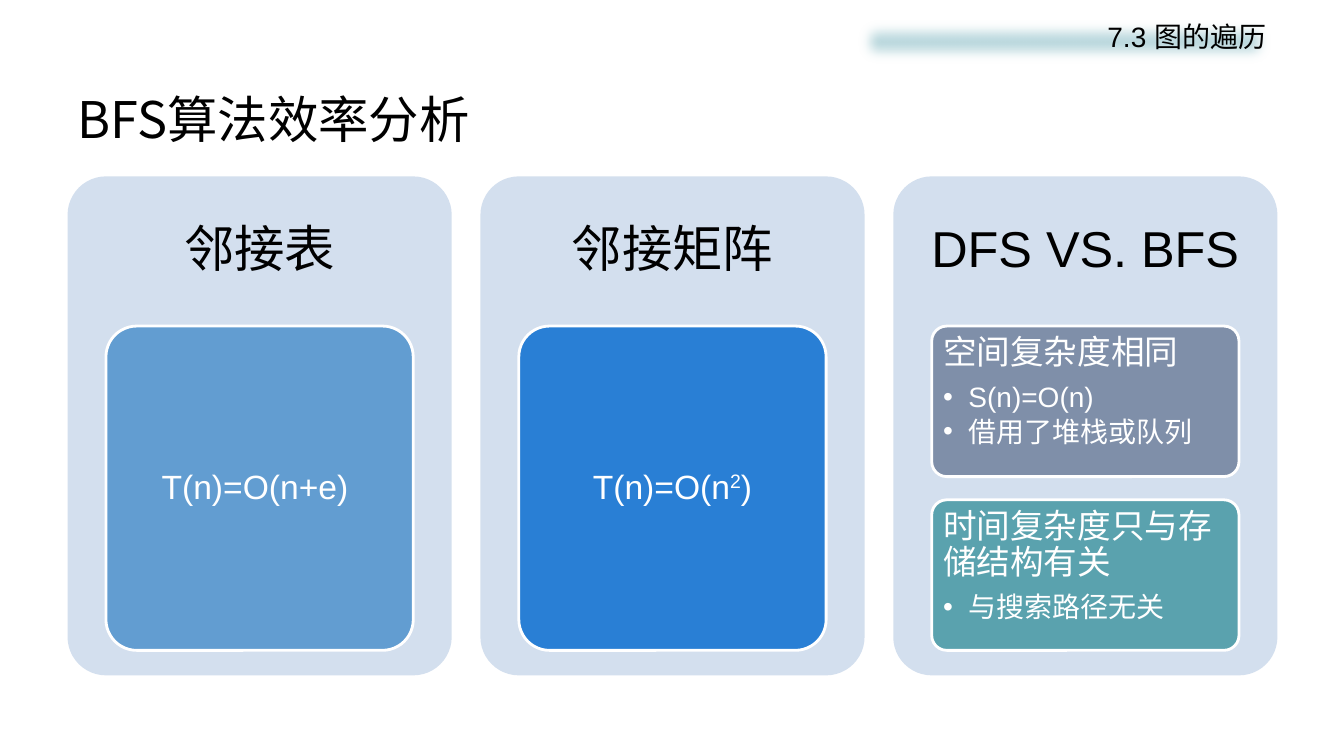
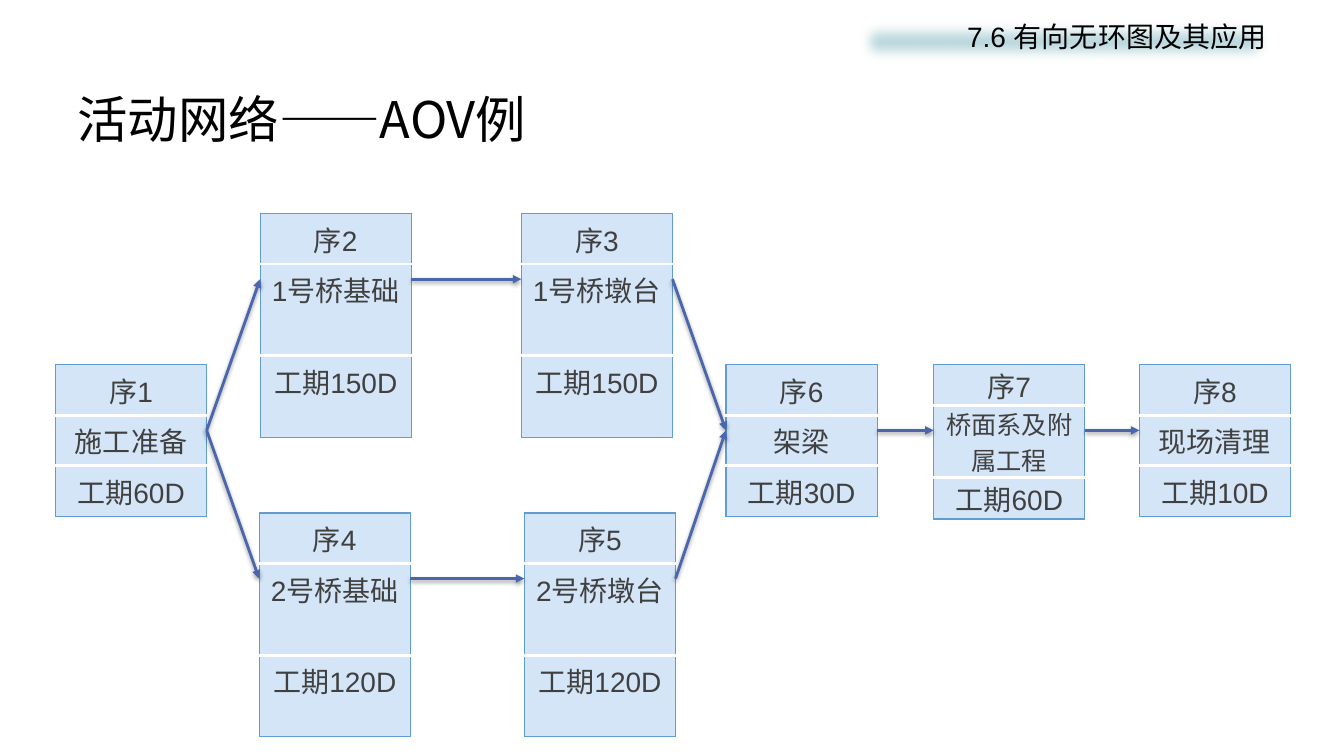
"""Build two lecture slides on graph traversal and activity networks."""
from lxml.etree import SubElement
from pptx import Presentation
from pptx.dml.color import RGBColor
from pptx.enum.shapes import MSO_CONNECTOR, MSO_SHAPE
from pptx.enum.text import MSO_ANCHOR, PP_ALIGN
from pptx.oxml.ns import qn
from pptx.util import Inches, Pt

WIDTH, HEIGHT = 13.33, 7.5
MARGIN, CONTENT_WIDTH = 0.67, 12
LATIN, CJK = "Arial", "Noto Sans CJK SC"
BLACK, WHITE, GREY = "000000", "FFFFFF", "404040"
BAND, CARD, CELL, CELL_EDGE, ARROW = "BDDADF", "D3DFEE", "D4E5F7", "629DD1", "4A66AC"

EFFICIENCY = ("7.3 图的遍历", "BFS算法效率分析")
CARDS = [
    ("邻接表", [("629DD1", [["T(n)=O(n+e) "]], [])]),
    ("邻接矩阵", [("297FD5", [["T(n)=O(n", "2", ")"]], [])]),
    ("DFS VS. BFS", [
        ("7F8FA9", [["空间复杂度相同"]], ["S(n)=O(n)", "借用了堆栈或队列"]),
        ("5AA2AE", [["时间复杂度只与存储结构有关"]], ["与搜索路径无关"]),
    ]),
]
CARD_WIDTH, CARD_TOP, CARD_HEIGHT, BOX_GAP = 3.81, 1.75, 4.95, 0.23

NETWORK = ("7.6 有向无环图及其应用", "活动网络——AOV例")
UPPER, MIDDLE, LOWER = 2.12, 3.62, 5.09
SINGLE = (0.5, 0.5, 0.5)
WRAPPED = (0.5, 0.91, 0.81)
COMPACT = (0.4, 0.72, 0.41)
ACTIVITIES = {
    1: ("施工准备", "60D", SINGLE, 0.55, MIDDLE),
    2: ("1号桥基础", "150D", WRAPPED, 2.58, UPPER),
    4: ("2号桥基础", "120D", WRAPPED, 2.57, LOWER),
    3: ("1号桥墩台", "150D", WRAPPED, 5.17, UPPER),
    5: ("2号桥墩台", "120D", WRAPPED, 5.2, LOWER),
    6: ("架梁", "30D", SINGLE, 7.2, MIDDLE),
    7: ("桥面系及附属工程", "60D", COMPACT, 9.26, MIDDLE),
    8: ("现场清理", "10D", SINGLE, 11.3, MIDDLE),
}
ORDER = [(1, 2), (1, 4), (2, 3), (4, 5), (3, 6), (5, 6), (6, 7), (7, 8)]
NODE_WIDTH, ARROW_DROP = 1.5, 0.65


def rgb(code):
    return RGBColor.from_string(code)


def style(paragraph, size, color, align=PP_ALIGN.LEFT, latin=LATIN):
    paragraph.alignment = align
    font = paragraph.font
    font.size, font.name = Pt(size), latin
    font.color.rgb = rgb(color)
    defaults = paragraph._p.pPr.find(qn("a:defRPr"))
    SubElement(defaults, qn("a:ea"), typeface=CJK)


def set_frame(frame, anchor, insets=(0.1, 0.05)):
    frame.word_wrap = True
    frame.vertical_anchor = anchor
    frame.margin_left = frame.margin_right = Inches(insets[0])
    frame.margin_top = frame.margin_bottom = Inches(insets[1])


def add_label(slide, area, text, align, latin=LATIN):
    frame = slide.shapes.add_textbox(*map(Inches, area)).text_frame
    set_frame(frame, MSO_ANCHOR.MIDDLE)
    frame.text = text
    style(frame.paragraphs[0], 36, BLACK, align, latin)
    return frame.paragraphs[0]


def add_panel(slide, preset, area, fill, edge=None):
    panel = slide.shapes.add_shape(preset, *map(Inches, area))
    panel.shadow.inherit = False
    panel.fill.solid()
    panel.fill.fore_color.rgb = rgb(fill)
    if edge:
        panel.line.color.rgb = rgb(edge)
        panel.line.width = Pt(2)
    else:
        panel.line.fill.background()
    if preset == MSO_SHAPE.ROUNDED_RECTANGLE:
        panel.adjustments[0] = 0.1
    return panel


def start_slide(deck, section, title):
    slide = deck.slides.add_slide(deck.slide_layouts[6])
    add_label(slide, (MARGIN, 0.8, CONTENT_WIDTH, 0.75), title, PP_ALIGN.LEFT, CJK)
    band = add_panel(slide, MSO_SHAPE.RECTANGLE, (8.46, 0.14, 4.2, 0.54), BAND)
    effects = band._element.spPr.find(qn("a:effectLst"))
    SubElement(effects, qn("a:softEdge"), rad="127000")
    set_frame(band.text_frame, MSO_ANCHOR.TOP)
    band.text_frame.text = section
    style(band.text_frame.paragraphs[0], 20, BLACK, PP_ALIGN.RIGHT)
    return slide


def add_box(slide, area, fill, statements, points):
    box = add_panel(slide, MSO_SHAPE.ROUNDED_RECTANGLE, area, fill, WHITE)
    frame = box.text_frame
    set_frame(frame, MSO_ANCHOR.TOP if points else MSO_ANCHOR.MIDDLE, (0.07, 0.05))
    for index, parts in enumerate(statements + [[point] for point in points]):
        paragraph = frame.paragraphs[0] if index == 0 else frame.add_paragraph()
        is_point = index >= len(statements)
        for part in parts:
            run = paragraph.add_run()
            run.text = part
            if part == "2":
                run._r.get_or_add_rPr().set("baseline", "30000")
        paragraph.line_spacing = 0.9
        if points:
            paragraph.space_after = Pt(3 if is_point else 8.4)
        if is_point:
            properties = paragraph._p.get_or_add_pPr()
            properties.set("marL", str(Inches(0.25)))
            properties.set("indent", str(-Inches(0.25)))
            SubElement(properties, qn("a:buFont"), typeface=LATIN)
            SubElement(properties, qn("a:buChar"), char="•")
        style(paragraph, 20 if is_point else 24, WHITE,
              PP_ALIGN.LEFT if points else PP_ALIGN.CENTER)


def add_card(slide, left, heading, boxes):
    add_panel(slide, MSO_SHAPE.ROUNDED_RECTANGLE,
              (left, CARD_TOP, CARD_WIDTH, CARD_HEIGHT), CARD)
    heading_height = 0.3 * CARD_HEIGHT
    add_label(slide, (left, CARD_TOP, CARD_WIDTH, heading_height),
              heading, PP_ALIGN.CENTER).line_spacing = 0.9
    box_height = (0.65 * CARD_HEIGHT - BOX_GAP * (len(boxes) - 1)) / len(boxes)
    for index, (fill, statements, points) in enumerate(boxes):
        top = CARD_TOP + heading_height + index * (box_height + BOX_GAP)
        area = (left + 0.1 * CARD_WIDTH, top, 0.8 * CARD_WIDTH, box_height)
        add_box(slide, area, fill, statements, points)


def add_border(cell, side, color, width):
    line = SubElement(cell._tc.get_or_add_tcPr(), qn(f"a:ln{side}"), w=str(Pt(width)))
    SubElement(SubElement(line, qn("a:solidFill")), qn("a:srgbClr"), val=color)


def add_activity(slide, number, task, duration, heights, left, top):
    compact = heights == COMPACT
    texts = (f"序{number}", task, f"工期{duration}")
    area = (left, top, NODE_WIDTH, sum(heights))
    table = slide.shapes.add_table(3, 1, *map(Inches, area)).table
    table.first_row = table.horz_banding = False
    outer, inner = (CELL_EDGE, 1), (WHITE, 2.25)
    for index, (text, height) in enumerate(zip(texts, heights)):
        table.rows[index].height = Inches(height)
        cell = table.cell(index, 0)
        cell.text = text
        style(cell.text_frame.paragraphs[0], 18 if compact and index == 1 else 20,
              GREY, PP_ALIGN.CENTER)
        if compact:
            cell.margin_top = cell.margin_bottom = 0
        add_border(cell, "L", *outer)
        add_border(cell, "R", *outer)
        add_border(cell, "T", *(outer if index == 0 else inner))
        add_border(cell, "B", *(outer if index == 2 else inner))
        cell.fill.solid()
        cell.fill.fore_color.rgb = rgb(CELL)


def add_arrow(slide, source, target):
    *_, start_left, start_top = ACTIVITIES[source]
    *_, end_left, end_top = ACTIVITIES[target]
    ends = (start_left + NODE_WIDTH, start_top + ARROW_DROP,
            end_left, end_top + ARROW_DROP)
    arrow = slide.shapes.add_connector(MSO_CONNECTOR.STRAIGHT, *map(Inches, ends))
    arrow.line.color.rgb = rgb(ARROW)
    arrow.line.width = Pt(2)
    properties = arrow._element.spPr
    SubElement(properties.find(qn("a:ln")), qn("a:tailEnd"), type="triangle")
    effects = SubElement(properties, qn("a:effectLst"))
    shadow = SubElement(effects, qn("a:outerShdw"), blurRad="40000", dist="20000",
                        dir="5400000", rotWithShape="0")
    shade = SubElement(shadow, qn("a:srgbClr"), val=BLACK)
    SubElement(shade, qn("a:alpha"), val="38000")


def main():
    deck = Presentation()
    deck.slide_width, deck.slide_height = Inches(WIDTH), Inches(HEIGHT)

    efficiency = start_slide(deck, *EFFICIENCY)
    pitch = (CONTENT_WIDTH - CARD_WIDTH) / (len(CARDS) - 1)
    for index, (heading, boxes) in enumerate(CARDS):
        add_card(efficiency, MARGIN + index * pitch, heading, boxes)

    network = start_slide(deck, *NETWORK)
    for number, activity in ACTIVITIES.items():
        add_activity(network, number, *activity)
    for source, target in ORDER:
        add_arrow(network, source, target)

    deck.save("out.pptx")


if __name__ == "__main__":
    main()
